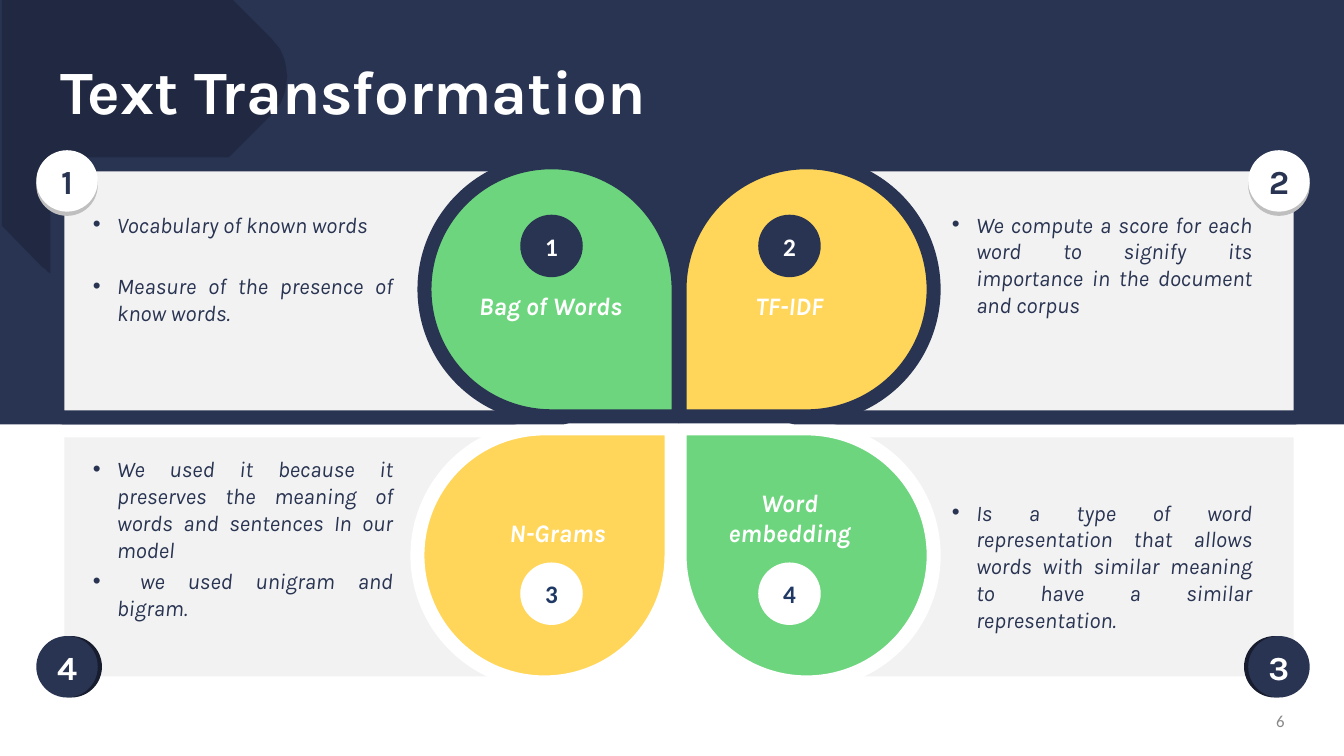
from dataclasses import dataclass

from lxml import etree
from pptx import Presentation
from pptx.dml.color import RGBColor
from pptx.enum.shapes import MSO_SHAPE
from pptx.enum.text import MSO_ANCHOR, PP_ALIGN
from pptx.oxml.ns import qn
from pptx.util import Emu, Pt

PX = 9144  # 100 px to the inch
OVAL, RECT = MSO_SHAPE.OVAL, MSO_SHAPE.RECTANGLE
PANEL, DROP = MSO_SHAPE.ROUNDED_RECTANGLE, MSO_SHAPE.TEAR
TOP, MIDDLE, BOTTOM = MSO_ANCHOR.TOP, MSO_ANCHOR.MIDDLE, MSO_ANCHOR.BOTTOM
LEFT, CENTER, RIGHT, JUSTIFY = PP_ALIGN.LEFT, PP_ALIGN.CENTER, PP_ALIGN.RIGHT, PP_ALIGN.JUSTIFY
COLORS = {
    "navy": "293452", "blue": "1F3864", "white": "FFFFFF", "pale": "F2F2F2",
    "green": "6DD57E", "yellow": "FFD65A", "gray": "888888", "black": "000000",
    "shade": "BFBFBF", "dark": "171D2F",
}


@dataclass
class Topic:
    upper: bool
    left: bool
    drop: tuple   # x offset from panel, turn, colour
    label: tuple  # x offset from panel, text
    note: tuple   # y offset from panel, height, space before items, items
    pip: str
    badge: str

    @property
    def box(self):
        return (57 if self.left else 783, 163 if self.upper else 427, 507, 251)

    @property
    def ground(self):
        return "navy" if self.upper else "white"


TOPICS = [
    Topic(True, True, (364, 90, "green"), (402, "Bag of Words"),
          (46, 116, 25, ["Vocabulary of known words",
                         "Measure of the presence of know words."]), "1", "1"),
    Topic(True, False, (-109, 180, "yellow"), (-87, "TF-IDF"),
          (46, 108, 3, ["We compute a score for each word to signify its "
                        "importance in the document and corpus"]), "2", "2"),
    Topic(False, True, (357, 0, "yellow"), (409, "N-Grams"),
          (23, 166, 3, ["We used it because it preserves the meaning of words "
                        "and sentences In our model",
                        " we used unigram and bigram."]), "3", "4"),
    Topic(False, False, (-109, 270, "green"), (-87, "Word embedding"),
          (66, 135, 3, ["Is a type of word representation that allows words with "
                        "similar meaning to have a similar representation."]), "4", "3"),
]


def rgb(name):
    return RGBColor.from_string(COLORS[name])


def emu(*sizes):
    return [Emu(size * PX) for size in sizes]


def style(frame, lines, size, color, font="Karla", align=CENTER, bold=True, italic=False):
    frame.text = "\n".join(lines)
    for para in frame.paragraphs:
        para.alignment = align
        for run in para.runs:
            run.font.name, run.font.size = font, Pt(size)
            run.font.bold, run.font.italic = bold, italic
            run.font.color.rgb = rgb(color)


def shape(slide, kind, box, fill, edge=None):
    item = slide.shapes.add_shape(kind, *emu(*box))
    item.shadow.inherit = False
    item.fill.solid()
    item.fill.fore_color.rgb = rgb(fill)
    if edge:
        item.line.color.rgb = rgb(edge)
        item.line.width = Pt(10)
    else:
        item.line.fill.background()
    return item


def text(slide, box, lines, size, color, anchor=TOP, inset=False, **look):
    frame = slide.shapes.add_textbox(*emu(*box)).text_frame
    frame.word_wrap = True
    frame.vertical_anchor = anchor
    if not inset:
        frame.margin_left = frame.margin_right = frame.margin_top = frame.margin_bottom = 0
    style(frame, lines, size, color, **look)
    return frame


def disc(slide, box, word, fill, color, size, font):
    item = shape(slide, OVAL, box, fill)
    item.text_frame.vertical_anchor = MIDDLE
    style(item.text_frame, [word], size, color, font)
    return item


def drop_shadow(item, color, angle):
    effects = item._element.spPr.find(qn("a:effectLst"))
    shadow = etree.SubElement(effects, qn("a:outerShdw"), blurRad="0", dist=str(Pt(3)),
                              dir=str(angle * 60000), algn="ctr", rotWithShape="0")
    etree.SubElement(shadow, qn("a:srgbClr"), val=COLORS[color])


def bullets(frame, gap):
    for index, para in enumerate(frame.paragraphs):
        if index:
            para.space_before = Pt(gap)
        props = para._p.get_or_add_pPr()
        props.set("marL", str(24 * PX))
        props.set("indent", str(-24 * PX))
        tint = etree.SubElement(props, qn("a:buClr"))
        etree.SubElement(tint, qn("a:srgbClr"), val=COLORS["navy"])
        etree.SubElement(props, qn("a:buFont"), typeface="Arial")
        etree.SubElement(props, qn("a:buChar"), char="•")


def panel(slide, topic):
    shape(slide, PANEL, topic.box, "pale", topic.ground).adjustments[0] = 0.02


def petal(slide, topic):
    """Teardrop with its label and number, beside the note and corner badge."""
    x, y, _, _ = topic.box
    upper, left = topic.upper, topic.left
    anchor = TOP if upper else BOTTOM

    shift, turn, color = topic.drop
    shape(slide, DROP, (x + shift, y - 2, 252, 252), color, topic.ground).rotation = turn
    disc(slide, (x + (459 if left else -31), y + (50 if upper else 131), 62, 62),
         topic.pip, topic.ground, "white" if upper else "blue", 18, "Calibri")
    shift, label = topic.label
    text(slide, (x + shift, y + (125 if upper else 55), 174, 61), [label], 18, "white",
         anchor, italic=True)

    down, height, gap, items = topic.note
    note = text(slide, (x + (35 if left else 161), y + down, 298, height), items, 16, "navy",
                anchor, align=JUSTIFY, bold=False, italic=True)
    bullets(note, gap)

    fill, ink = ("white", "navy") if upper else ("navy", "white")
    badge = disc(slide, (x + (-21 if left else 455), y + (-14 if upper else 204), 61, 61),
                 topic.badge, fill, ink, 24, "Karla")
    drop_shadow(badge, "shade" if upper else "dark", 90 if upper else 0 if left else 180)


def bend(*ctrl, steps=12):
    """Points along a cubic curve."""
    curve = []
    for step in range(steps + 1):
        t = step / steps
        weights = ((1 - t) ** 3, 3 * t * (1 - t) ** 2, 3 * t * t * (1 - t), t ** 3)
        curve.append(tuple(sum(w * p[axis] for w, p in zip(weights, ctrl)) for axis in (0, 1)))
    return curve


def arrow(slide):
    """Faint arrow outline in the top left corner."""
    points = [(2, 0), (2, 224)]
    points += bend((42, 265), (53, 275), (66, 280), (80, 280))
    points += bend((80, 280), (94, 280), (107, 275), (118, 265))
    points += bend((269, 114), (290, 93), (290, 59), (269, 38))
    points += [(231, 0)]
    build = slide.shapes.build_freeform(*points[0], scale=PX)
    build.add_line_segments(points[1:], close=True)
    item = build.convert_to_shape()
    item.shadow.inherit = False
    item.fill.solid()
    item.fill.fore_color.rgb = rgb("black")
    tint = item._element.spPr.find(qn("a:solidFill"))[0]
    etree.SubElement(tint, qn("a:alpha"), val="20000")
    item.line.fill.background()


def main():
    deck = Presentation()
    deck.slide_width, deck.slide_height = emu(1333, 750)
    slide = deck.slides.add_slide(deck.slide_layouts[6])
    upper, lower = TOPICS[:2], TOPICS[2:]

    for topic in lower:
        panel(slide, topic)
    shape(slide, RECT, (0, 0, 1333, 421), "navy")
    for topic in lower:
        petal(slide, topic)
    arrow(slide)
    for topic in upper:
        panel(slide, topic)
    for topic in upper:
        petal(slide, topic)

    title = text(slide, (50, 40, 1233, 107), ["Text Transformation"], 44, "white", MIDDLE,
                 inset=True, align=LEFT)
    title.paragraphs[0].line_spacing = 0.9
    text(slide, (1238, 695, 46, 40), ["6"], 12, "gray", MIDDLE, inset=True,
         font="Calibri", align=RIGHT, bold=False)
    deck.save("out.pptx")


if __name__ == "__main__":
    main()
